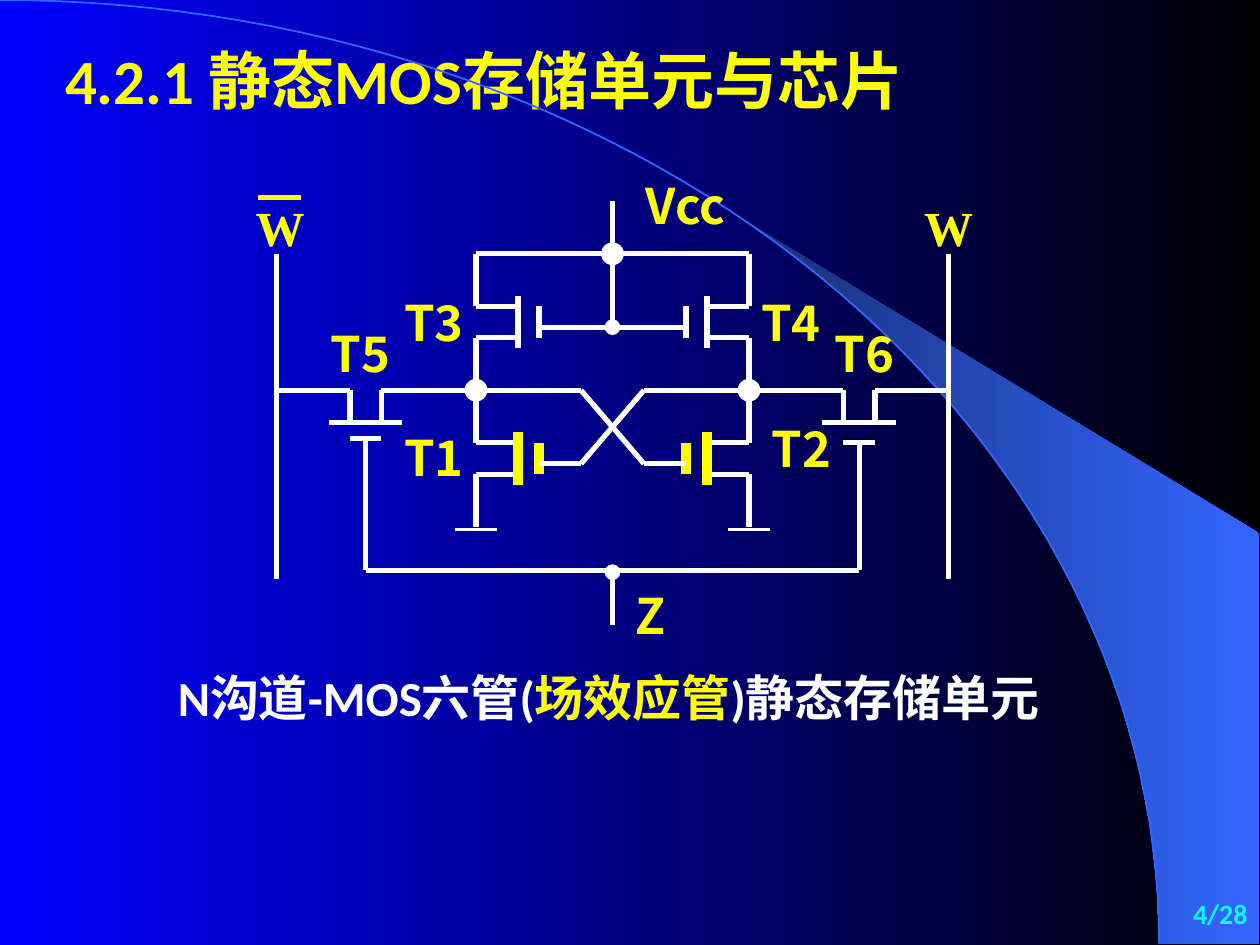
from math import asin, cos, pi, sin

from lxml import etree
from pptx import Presentation
from pptx.dml.color import RGBColor
from pptx.enum.shapes import MSO_CONNECTOR, MSO_SHAPE
from pptx.enum.text import MSO_ANCHOR, MSO_AUTO_SIZE, PP_ALIGN
from pptx.oxml.ns import qn
from pptx.util import Pt

COLORS = {"blue": "0000FF", "black": "000000", "navy": "182F76", "azure": "3366FF",
          "yellow": "FFFF00", "white": "FFFFFF", "cyan": "00FFFF"}
BODY, CJK, SERIF = "Calibri", "Noto Sans CJK SC", "Times New Roman"
WIDTH, HEIGHT = 720, 540
ARC_WIDTH, ARC_HEIGHT = 662.4, 539.3
FAN_START = asin(0.64)

CENTER = 350
TOP, MIDDLE, BOTTOM = 145, 223, 326
NODE, BIT_LINE = 78, 192  # distances from the center line


def color(name):
    return RGBColor.from_string(COLORS[name])


def arc_points(start, steps):
    """Points along the quarter ellipse, from the angle start to its lower right end."""
    angles = [start + (pi / 2 - start) * i / steps for i in range(steps + 1)]
    return [(ARC_WIDTH * sin(a), ARC_HEIGHT * (1 - cos(a))) for a in angles]


class SlideBuilder:
    def __init__(self, page):
        self.page = page
        self.canvas = page.shapes

    def start_group(self):
        self.canvas = self.page.shapes.add_group_shape().shapes

    def end_group(self):
        self.canvas = self.page.shapes

    def gradient(self, fill, first, last):
        fill.gradient()
        fill.gradient_angle = 0
        for stop, name, position in zip(fill.gradient_stops, (first, last), (0, 1)):
            stop.color.rgb = color(name)
            stop.position = position

    def outline(self, points, close):
        corners = [(Pt(x), Pt(y)) for x, y in points]
        builder = self.canvas.build_freeform(*corners[0])
        builder.add_line_segments(corners[1:], close=close)
        shape = builder.convert_to_shape()
        shape.shadow.inherit = False
        return shape

    def fill_text(self, box, spans, size, font, align, anchor, grow):
        frame = box.text_frame
        frame.word_wrap = True
        frame.vertical_anchor = anchor
        frame.auto_size = MSO_AUTO_SIZE.SHAPE_TO_FIT_TEXT if grow else MSO_AUTO_SIZE.NONE
        para = frame.paragraphs[0]
        para.alignment = align
        for words, name in spans:
            span = para.add_run()
            span.text = words
            span.font.size = Pt(size)
            span.font.bold = True
            span.font.name = font
            span.font.color.rgb = color(name)
            latin = span.font._element.find(qn("a:latin"))
            east_asian = etree.Element(qn("a:ea"), typeface=CJK)
            latin.addnext(east_asian)

    def title(self, words, left, top, width, height):
        box = self.page.shapes.title
        box.left, box.top, box.width, box.height = map(Pt, (left, top, width, height))
        self.fill_text(box, [(words, "yellow")], 36, BODY, PP_ALIGN.LEFT,
                       MSO_ANCHOR.TOP, grow=False)

    def text(self, spans, left, top, width, height, size=28, font=BODY,
             align=PP_ALIGN.LEFT, anchor=MSO_ANCHOR.TOP, grow=True):
        box = self.canvas.add_textbox(*map(Pt, (left, top, width, height)))
        self.fill_text(box, spans, size, font, align, anchor, grow)

    def label(self, words, left, top, width=60, font=CJK, align=PP_ALIGN.LEFT):
        self.text([(words, "yellow")], left, top, width, 41, font=font, align=align)

    def line(self, x1, y1, x2, y2, name="white", weight=3, oval_end=False):
        wire = self.canvas.add_connector(MSO_CONNECTOR.STRAIGHT, *map(Pt, (x1, y1, x2, y2)))
        wire.line.color.rgb = color(name)
        wire.line.width = Pt(weight)
        properties = wire.element.spPr
        if oval_end:
            etree.SubElement(properties.find(qn("a:ln")), qn("a:tailEnd"), type="oval")
        etree.SubElement(properties, qn("a:effectLst"))

    def dot(self, x, y, size=12):
        shape = self.canvas.add_shape(MSO_SHAPE.OVAL, Pt(x - size / 2), Pt(y - size / 2),
                                      Pt(size), Pt(size))
        shape.shadow.inherit = False
        shape.fill.solid()
        shape.fill.fore_color.rgb = color("white")
        shape.line.color.rgb = color("white")
        shape.line.width = Pt(1)

    def upright_transistor(self, side, top, name, weight):
        """Transistor with its gate toward the center; side is -1 left, 1 right."""
        node, channel, gate, lead = (CENTER + side * d for d in (NODE, 54, 42, 18))
        self.line(node, top, node, top + 30)
        self.line(node, top + 30, channel, top + 30)
        self.line(node, top + 48, channel, top + 48)
        self.line(node, top + 48, node, top + 78)
        self.line(channel, top + 24, channel, top + 54, name, weight)
        self.line(gate, top + 30, gate, top + 48, name, weight)
        self.line(gate, top + 42, lead, top + 42)

    def access_transistor(self, side, gate_y):
        """Transistor lying between the storage node and the bit line."""
        node, inner, stem, outer, bit = (
            CENTER + side * d for d in (NODE, 132, 141, 150, BIT_LINE))
        self.line(node, MIDDLE, inner, MIDDLE)
        self.line(outer, MIDDLE, bit, MIDDLE)
        for x in (inner, outer):
            self.line(x, MIDDLE, x, 241.5)
        self.line(CENTER + side * 120, 241.5, CENTER + side * 162, 241.5)
        self.line(inner, gate_y, outer, gate_y)
        self.line(stem, gate_y, stem, BOTTOM)


def draw_background(builder):
    builder.gradient(builder.page.background.fill, "blue", "black")
    builder.start_group()
    edge = arc_points(FAN_START, 14)
    fan = builder.outline(edge + [(719.3, 539.3), (719.3, 304.6)], close=True)
    builder.gradient(fan.fill, "navy", "azure")
    fan.line.fill.background()
    arc = builder.outline(arc_points(0, 60), close=False)
    arc.fill.background()
    arc.line.color.rgb = color("azure")
    arc.line.width = Pt(1)
    builder.end_group()


def draw_circuit(builder):
    builder.start_group()
    for side, gate_y in ((-1, 250.5), (1, 253)):
        node, bit = CENTER + side * NODE, CENTER + side * BIT_LINE
        builder.upright_transistor(side, TOP, "white", 3)
        builder.upright_transistor(side, MIDDLE, "yellow", 6)
        builder.access_transistor(side, gate_y)
        builder.line(node - 12, 302.5, node + 12, 302.5, weight=1.5)
        builder.line(node, MIDDLE, CENTER + side * 18, MIDDLE)
        builder.line(CENTER + side * 18, MIDDLE, CENTER - side * 18, 265)
        builder.line(bit, TOP, bit, 331)
        builder.dot(node, MIDDLE)

    builder.line(CENTER - NODE, TOP, CENTER + NODE, TOP)
    builder.line(CENTER - 18, 187, CENTER + 18, 187)
    builder.line(CENTER, 115, CENTER, 187, oval_end=True)
    builder.line(CENTER - 141, BOTTOM, CENTER + 141, BOTTOM)
    builder.line(CENTER, 357, CENTER, 327, oval_end=True)
    builder.dot(CENTER, TOP)

    for words, left, top in (("T3", 224, 163.5), ("T4", 428, 163.5), ("T1", 224, 241),
                             ("T2", 434, 235.5), ("T5", 182, 181.5), ("T6", 470, 181.5)):
        builder.label(words, left, top)
    builder.label("Vcc", 362, 97, 102)
    builder.label("Z", 356, 331, 30)
    builder.label("W", 139, 109.5, 36, SERIF)
    builder.line(147.5, 113, 172, 113, "yellow")
    builder.label("W", 506, 109.5, 72, SERIF, PP_ALIGN.CENTER)
    builder.end_group()


def main():
    deck = Presentation()
    deck.slide_width, deck.slide_height = Pt(WIDTH), Pt(HEIGHT)
    builder = SlideBuilder(deck.slides.add_slide(deck.slide_layouts[5]))
    draw_background(builder)
    builder.title("4.2.1 静态MOS存储单元与芯片", 30, 20, 574, 50.4)
    draw_circuit(builder)
    builder.text([("N沟道-MOS六管(", "white"), ("场效应管", "yellow"),
                  (")静态存储单元", "white")], 94.5, 378, 510.5, 75)
    builder.text([("4/28", "cyan")], 632, 504, 88, 36, size=16, align=PP_ALIGN.RIGHT,
                 anchor=MSO_ANCHOR.MIDDLE, grow=False)
    deck.save("out.pptx")


if __name__ == "__main__":
    main()
